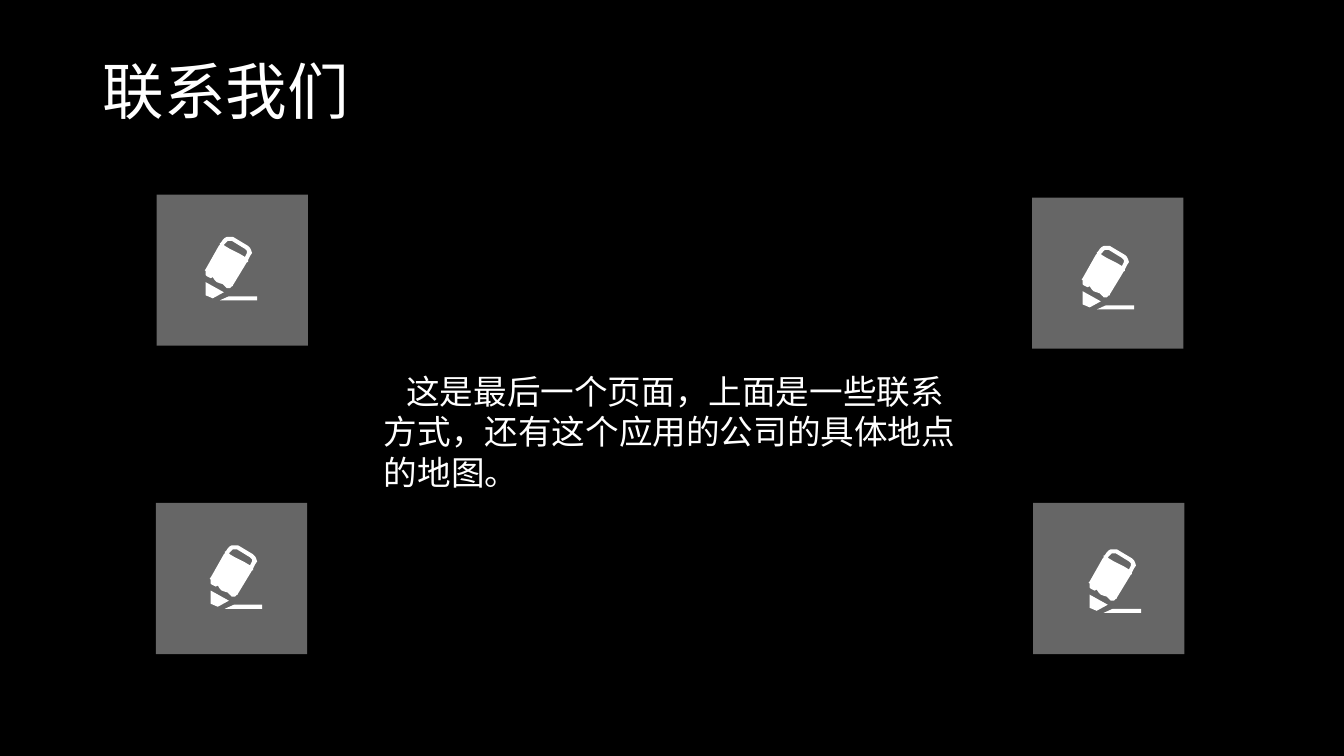
"""Build the contact slide: a title, a paragraph and four pencil tiles."""
import pptx
import pptx.util
import pptx.dml.color
import pptx.enum.shapes
import pptx.enum.text
import pptx.oxml.ns
from lxml import etree

Pt = pptx.util.Pt

TITLE = "联系我们"
MESSAGE = "这是最后一个页面，上面是一些联系方式，还有这个应用的公司的具体地点的地图。"
FONT = "Arial"
COLOURS = {"background": "000000", "foreground": "FFFFFF"}
TILE_SIZE = 108
TILE_OPACITY = 40
TILES = [
    {"tile": (111.4, 359.3), "pencil": (149.8, 389.5)},
    {"tile": (111.9, 139), "pencil": (146.2, 169.2)},
    {"tile": (738, 359.3), "pencil": (777.6, 392.4)},
    {"tile": (737.3, 141.1), "pencil": (772.6, 175.7)},
]
PENCIL_UNIT = 0.72
PENCIL = {
    "stroke": [(24, 59), (52, 59), (52, 63), (15, 63)],
    "eraser": [
        (40, 20), (41, 18), (42, 16), (42, 14), (41, 13), (40, 12), (27, 4), (25, 4),
        (23, 4), (22, 5), (21, 6), (19, 8), (20, 9), (25, 12), (35, 17),
    ],
    "body": [
        (45, 19), (43, 23), (43, 25), (42, 25), (28, 48), (28, 49), (27, 49), (25, 51),
        (23, 51), (22, 51), (21, 50), (19, 48), (18, 47), (15, 46), (12, 45), (10, 43),
        (8, 40), (6, 41), (4, 40), (2, 39), (1, 38), (1, 36), (1, 34), (0, 33), (1, 32),
        (14, 9), (15, 8), (15, 6), (16, 6), (18, 3), (20, 1), (22, 0), (25, 0), (28, 0),
        (43, 9), (45, 11), (46, 13), (47, 16),
    ],
    "tip": [(1, 45), (1, 58), (8, 61), (19, 55)],
}


def colour(name):
    return pptx.dml.color.RGBColor.from_string(COLOURS[name])


def paint(shape):
    shape.shadow.inherit = False
    shape.fill.solid()
    shape.fill.fore_color.rgb = colour("foreground")
    shape.line.fill.background()


def write(frame, text, size):
    frame.word_wrap = True
    frame.auto_size = pptx.enum.text.MSO_AUTO_SIZE.NONE
    paragraph = frame.paragraphs[0]
    paragraph.text = text
    paragraph.alignment = pptx.enum.text.PP_ALIGN.LEFT
    paragraph.font.name = FONT
    paragraph.font.size = Pt(size)
    paragraph.font.color.rgb = colour("foreground")
    return paragraph


def add_tile(slide, left, top):
    tile = slide.shapes.add_shape(
        pptx.enum.shapes.MSO_SHAPE.RECTANGLE, Pt(left), Pt(top), Pt(TILE_SIZE), Pt(TILE_SIZE))
    paint(tile)
    fill_colour = tile.fill._xPr.find(".//" + pptx.oxml.ns.qn("a:srgbClr"))
    alpha = etree.SubElement(fill_colour, pptx.oxml.ns.qn("a:alpha"))
    alpha.set("val", str(TILE_OPACITY * 1000))


def add_pencil(slide, left, top):
    first, *others = PENCIL.values()
    outline = slide.shapes.build_freeform(*first[0], scale=Pt(PENCIL_UNIT))
    outline.add_line_segments(first[1:], close=True)
    for contour in others:
        outline.move_to(*contour[0])
        outline.add_line_segments(contour[1:], close=True)
    paint(outline.convert_to_shape(Pt(left), Pt(top)))


def main():
    deck = pptx.Presentation()
    deck.slide_width, deck.slide_height = Pt(960), Pt(540)
    slide = deck.slides.add_slide(deck.slide_layouts[5])
    slide.background.fill.solid()
    slide.background.fill.fore_color.rgb = colour("background")

    title = slide.shapes.title
    title.left, title.top, title.width, title.height = Pt(66), Pt(28.8), Pt(828), Pt(77)
    title.text_frame.vertical_anchor = pptx.enum.text.MSO_ANCHOR.MIDDLE
    write(title.text_frame, TITLE, 44).line_spacing = 0.9

    for place in TILES:
        add_tile(slide, *place["tile"])
        add_pencil(slide, *place["pencil"])

    message = slide.shapes.add_textbox(Pt(267.1), Pt(261.4), Pt(437), Pt(93.6))
    paragraph = write(message.text_frame, MESSAGE, 24)
    paragraph._p.get_or_add_pPr().set("indent", str(Pt(16)))

    deck.save("out.pptx")


if __name__ == "__main__":
    main()
